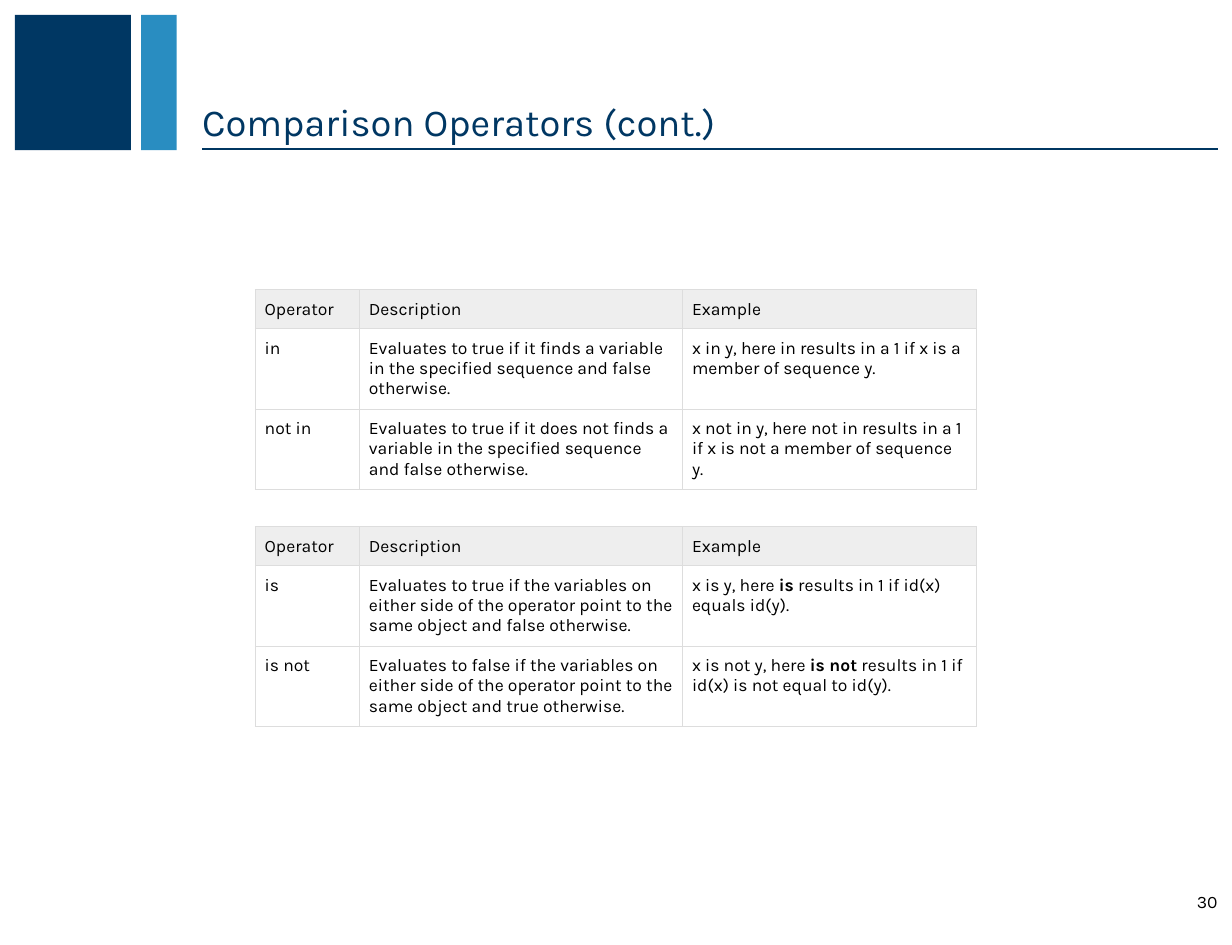
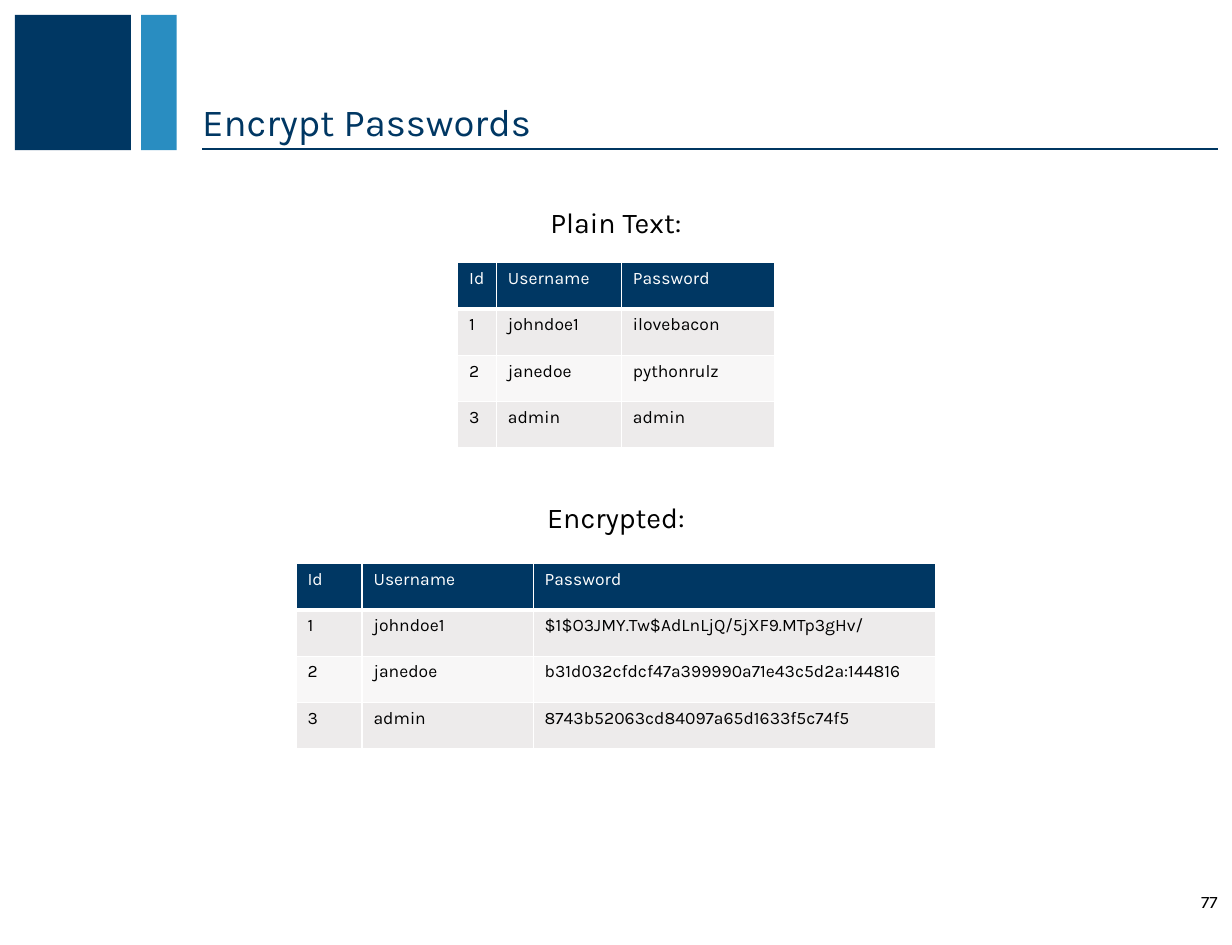
from lxml import etree
from pptx import Presentation, util as u
from pptx.dml.color import RGBColor
from pptx.enum import shapes, text
from pptx.oxml import ns

NAVY, BLUE, RULE = "003763", "298DC1", "003661"
BLACK, WHITE, STRIPE = "000000", "FFFFFF", "D2CFCD"
GRID, GRID_HEAD = "DDDDDD", "EEEEEE"
PAGE_WIDTH, PAGE_HEIGHT = 774, 594
MIDDLE, TOP = text.MSO_ANCHOR.MIDDLE, text.MSO_ANCHOR.TOP
RIGHT, CENTER = text.PP_ALIGN.RIGHT, text.PP_ALIGN.CENTER


def color(value):
    return RGBColor.from_string(value)


def points(*values):
    return [u.Pt(value) for value in values]


class Slides:
    """Holds the shared style and the current page."""

    font = "Karla"
    body_size = 11

    def __init__(self):
        self.deck = Presentation()
        self.deck.slide_width, self.deck.slide_height = points(PAGE_WIDTH, PAGE_HEIGHT)

    def new_page(self, title, number):
        self.page = self.deck.slides.add_slide(self.deck.slide_layouts[5])
        # Bands and rule
        self.band(9.4, 72.8, NAVY)
        self.band(88.6, 22.3, BLUE)
        self.rule(127, 765, 93.7)
        # Title
        box = self.page.shapes.title
        box.left, box.top, box.width, box.height = points(127, 9.4, 638, 85)
        self.frame(box.text_frame, title, 24, NAVY, text.PP_ALIGN.LEFT,
                   text.MSO_ANCHOR.BOTTOM, (0, 3.6, 0, 3.6))
        # Page number
        self.label(number, 734.5, 558, 30.5, 19.5, self.body_size, RIGHT, MIDDLE, (0, 0, 0, 2))

    def band(self, left, width, fill):
        box = self.page.shapes.add_shape(shapes.MSO_SHAPE.RECTANGLE,
                                         *points(left, 9.4, width, 85))
        box.shadow.inherit = False
        box.fill.solid()
        box.fill.fore_color.rgb = color(fill)
        box.line.fill.background()

    def rule(self, left, right, top):
        line = self.page.shapes.add_connector(shapes.MSO_CONNECTOR.STRAIGHT,
                                              *points(left, top, right, top))
        line.line.color.rgb = color(RULE)
        line.line.width = u.Pt(1)
        etree.SubElement(line.element.spPr, ns.qn("a:effectLst"))

    def style(self, para, size, ink):
        for span in para.runs:
            span.font.name = self.font
            span.font.size = u.Pt(size)
            span.font.bold = bool(span.font.bold)
            span.font.color.rgb = color(ink)

    def frame(self, frame, words, size, ink, align, anchor, insets):
        frame.text = words
        frame.word_wrap = True
        frame.auto_size = text.MSO_AUTO_SIZE.NONE
        frame.vertical_anchor = anchor
        (frame.margin_left, frame.margin_top,
         frame.margin_right, frame.margin_bottom) = points(*insets)
        frame.paragraphs[0].alignment = align
        self.style(frame.paragraphs[0], size, ink)

    def label(self, words, left, top, width, height, size, align, anchor=TOP, insets=(0, 0, 0, 0)):
        box = self.page.shapes.add_textbox(*points(left, top, width, height))
        self.frame(box.text_frame, words, size, BLACK, align, anchor, insets)

    def heading(self, words, top):
        width = 340
        self.label(words, (PAGE_WIDTH - width) / 2, top, width, 25, 18, CENTER)

    def borders(self, cell, ink, widths):
        """Draws left, right, top and bottom borders ahead of the fill."""
        props = cell._tc.get_or_add_tcPr()
        for index, (side, width) in enumerate(zip("LRTB", widths)):
            line = etree.Element(ns.qn("a:ln" + side), w=str(u.Pt(width)))
            fill = etree.SubElement(line, ns.qn("a:solidFill"))
            etree.SubElement(fill, ns.qn("a:srgbClr"), val=ink)
            props.insert(index, line)

    def fill(self, cell, value, opacity=100):
        if value is None:
            cell.fill.background()
            return
        cell.fill.solid()
        cell.fill.fore_color.rgb = color(value)
        if opacity < 100:
            tint = cell._tc.tcPr.find(".//" + ns.qn("a:srgbClr"))
            etree.SubElement(tint, ns.qn("a:alpha"), val=str(opacity * 1000))

    def table(self, top, widths, heights, rows):
        """Adds a centred table; words between asterisks are bold."""
        total = sum(widths)
        grid = self.page.shapes.add_table(
            len(rows), len(widths),
            *points((PAGE_WIDTH - total) / 2, top, total, sum(heights))).table
        grid.first_row = grid.horz_banding = False
        for column, width in zip(grid.columns, widths):
            column.width = u.Pt(width)
        for r, (row, height) in enumerate(zip(rows, heights)):
            grid.rows[r].height = u.Pt(height)
            for c, words in enumerate(row):
                para = grid.cell(r, c).text_frame.paragraphs[0]
                for part, piece in enumerate(words.split("*")):
                    if piece:
                        span = para.add_run()
                        span.text = piece
                        span.font.bold = part % 2 == 1
                self.style(para, self.body_size, BLACK)
        return grid

    def operator_table(self, top, rows):
        header = ("Operator", "Description", "Example")
        grid = self.table(top, (65.5, 203, 184.5), (24.5, 50.5, 50.5), [header, *rows])
        for index, cell in enumerate(grid.iter_cells()):
            (cell.margin_left, cell.margin_top,
             cell.margin_right, cell.margin_bottom) = points(*[5.8] * 4)
            self.fill(cell, GRID_HEAD if index < len(header) else None)
            self.borders(cell, GRID, [0.75] * 4)

    def password_table(self, top, widths, passwords):
        users = ("johndoe1", "janedoe", "admin")
        rows = [("Id", "Username", "Password")]
        rows += [(str(i), *pair) for i, pair in enumerate(zip(users, passwords), 1)]
        grid = self.table(top, widths, [29.16] * len(rows), rows)
        for r in range(len(rows)):
            for c in range(len(widths)):
                cell = grid.cell(r, c)
                if r == 0:
                    self.fill(cell, NAVY)
                    self.style(cell.text_frame.paragraphs[0], self.body_size, WHITE)
                else:
                    self.fill(cell, STRIPE, 40 if r % 2 else 15)
                self.borders(cell, WHITE, (1, 1, 3 if r == 1 else 1, 3 if r == 0 else 1))


def main():
    slides = Slides()

    # Membership and identity operators
    slides.new_page("Comparison Operators (cont.)", "30")
    slides.operator_table(182.2, [
        ("in",
         "Evaluates to true if it finds a variable in the specified sequence and false otherwise.",
         "x in y, here in results in a 1 if x is a member of sequence y."),
        ("not in",
         "Evaluates to true if it does not finds a variable in the specified sequence "
         "and false otherwise.",
         "x not in y, here not in results in a 1 if x is not a member of sequence y."),
    ])
    slides.operator_table(331.2, [
        ("is",
         "Evaluates to true if the variables on either side of the operator point to the "
         "same object and false otherwise.",
         "x is y, here *is* results in 1 if id(x) equals id(y)."),
        ("is not",
         "Evaluates to false if the variables on either side of the operator point to the "
         "same object and true otherwise.",
         "x is not y, here *is not* results in 1 if id(x) is not equal to id(y)."),
    ])

    # Stored passwords
    slides.new_page("Encrypt Passwords", "77")
    slides.heading("Plain Text:", 129)
    slides.password_table(165, (24.4, 78.5, 96), ("ilovebacon", "pythonrulz", "admin"))
    slides.heading("Encrypted:", 314)
    slides.password_table(354.2, (41.5, 107.5, 253), (
        "$1$O3JMY.Tw$AdLnLjQ/5jXF9.MTp3gHv/",
        "b31d032cfdcf47a399990a71e43c5d2a:144816",
        "8743b52063cd84097a65d1633f5c74f5",
    ))

    slides.deck.save("out.pptx")


if __name__ == "__main__":
    main()
